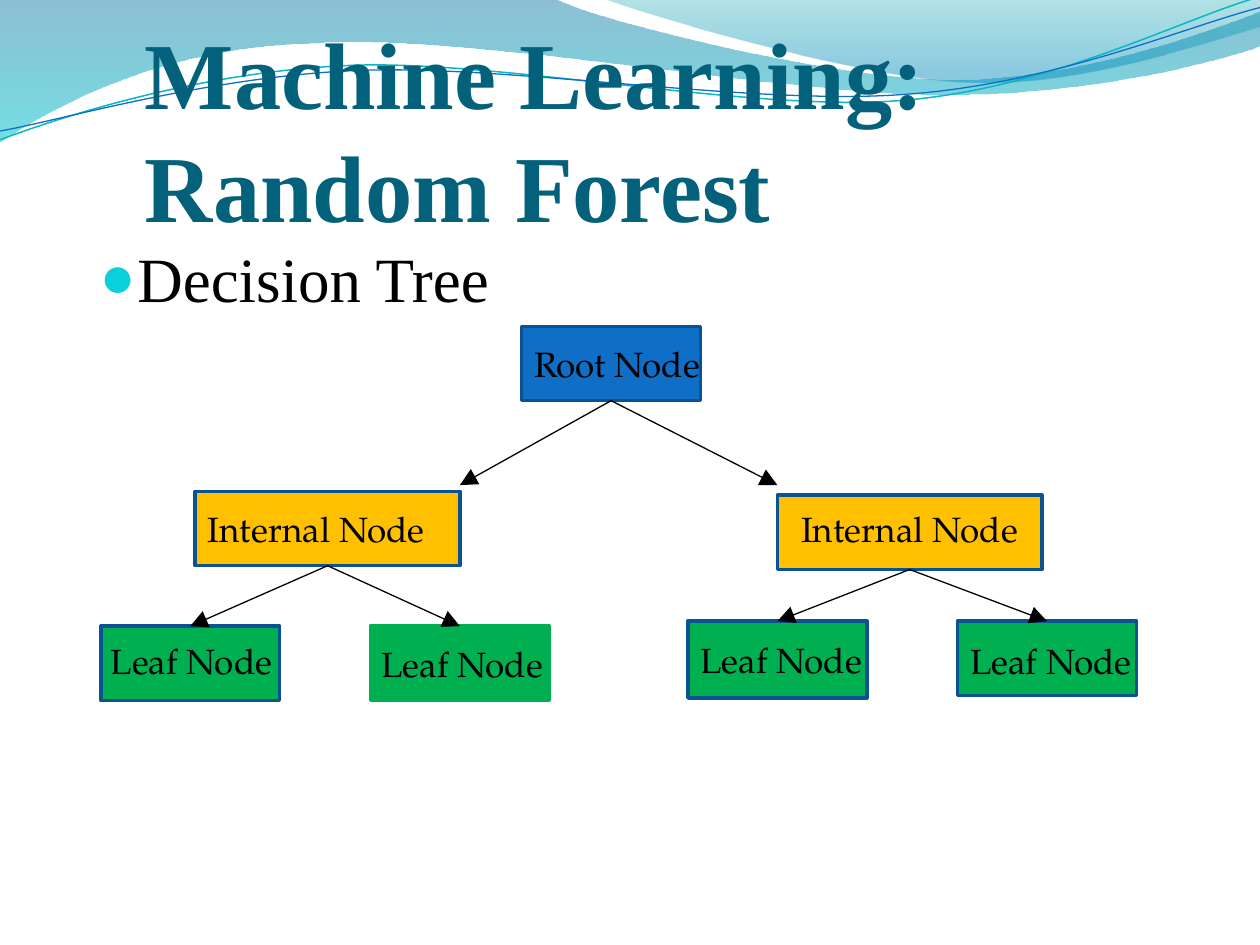
from collections import namedtuple

from lxml import etree
from pptx import Presentation
from pptx.dml.color import RGBColor
from pptx.enum.shapes import MSO_CONNECTOR, MSO_SHAPE
from pptx.enum.text import MSO_ANCHOR, MSO_AUTO_SIZE, PP_ALIGN
from pptx.oxml import parse_xml
from pptx.oxml.ns import nsdecls, qn
from pptx.util import Inches, Pt

RECTANGLE = MSO_SHAPE.RECTANGLE
STRAIGHT = MSO_CONNECTOR.STRAIGHT
LEFT, CENTER = PP_ALIGN.LEFT, PP_ALIGN.CENTER

BLACK = RGBColor(0x00, 0x00, 0x00)
TITLE_TEAL = RGBColor(0x04, 0x61, 0x7B)
BULLET_CYAN = RGBColor(0x0B, 0xD0, 0xD9)
WAVE_CYAN = RGBColor(0x0A, 0xB8, 0xBF)
BLUE = RGBColor(0x0F, 0x6F, 0xC6)
BORDER_BLUE = RGBColor(0x0B, 0x52, 0x92)
AMBER = RGBColor(0xFF, 0xC0, 0x00)
GREEN = RGBColor(0x00, 0xB0, 0x50)

HEADING_FONT = "Times New Roman"
LABEL_FONT = "TeX Gyre Pagella"
NODE_HEIGHT = 0.59
LEAF_WIDTH, INTERNAL_WIDTH = 1.42, 2.1

Node = namedtuple("Node", "left top width height", defaults=(NODE_HEIGHT,))

# Each outline is a start point followed by lines (one point) and curves (three points).
LEFT_WAVE = [
    [(0, 0)], [(4.4, -0.01)],
    [(4.76, 0.17), (6.64, 0.63), (7.58, 0.63)],
    [(8.53, 0.63), (9.58, 0.26), (10, 0.09)],
    [(10.01, 0.36)],
    [(9.83, 0.44), (8.7, 0.76), (7.46, 0.75)],
    [(6.22, 0.75), (3.82, 0.28), (2.57, 0.34)],
    [(1.29, 0.36), (0.46, 0.83), (-0.01, 1.13)],
    [(0, 0)],
]
RIGHT_WAVE = [
    [(4.79, -0.01)],
    [(5.09, 0.11), (6.82, 0.62), (7.69, 0.65)],
    [(8.56, 0.69), (9.61, 0.32), (10, 0.21)],
    [(10, 0)], [(4.79, -0.01)],
]
CYAN_STRAND = [
    [(0, 1.11)],
    [(0.48, 0.93), (1.58, 0.57), (2.77, 0.52)],
    [(3.95, 0.47), (5.93, 0.89), (7.13, 0.8)],
    [(8.33, 0.71), (9.38, 0.15), (9.98, -0.02)],
]
BLUE_STRAND = [
    [(0, 1.04)],
    [(0.47, 0.96), (1.64, 0.61), (2.83, 0.56)],
    [(4.03, 0.51), (5.97, 0.84), (7.17, 0.75)],
    [(8.36, 0.67), (9.41, 0.21), (10, 0.06)],
]


def add_outline(slide, segments, closed):
    """Add a freeform, turning each three-point segment into one Bezier curve."""
    vertices = [(Inches(x), Inches(y)) for segment in segments for x, y in segment]
    builder = slide.shapes.build_freeform(*vertices[0])
    builder.add_line_segments(vertices[1:], close=closed)
    shape = builder.convert_to_shape()
    shape.shadow.inherit = False
    lines = iter(list(shape.element.iter(qn("a:lnTo"))))
    for segment in segments[1:]:
        parts = [next(lines) for _ in segment]
        if len(parts) == 3:
            curve = etree.Element(qn("a:cubicBezTo"))
            parts[0].addprevious(curve)
            for part in parts:
                curve.append(part[0])
                part.getparent().remove(part)
    return shape


def add_wave(slide, segments, stops):
    """Add a filled wave; stops are (position %, colour, opacity %) from top to bottom."""
    shape = add_outline(slide, segments, closed=True)
    shape.line.fill.background()
    stop_xml = "".join(
        f'<a:gs pos="{position * 1000}"><a:srgbClr val="{color}">'
        f'<a:alpha val="{opacity * 1000}"/></a:srgbClr></a:gs>'
        for position, color, opacity in stops
    )
    gradient = parse_xml(
        f'<a:gradFill {nsdecls("a")} rotWithShape="1"><a:gsLst>{stop_xml}</a:gsLst>'
        '<a:lin ang="5400000" scaled="0"/></a:gradFill>'
    )
    shape.element.spPr.find(qn("a:custGeom")).addnext(gradient)


def add_strand(slide, segments, color, width):
    shape = add_outline(slide, segments, closed=False)
    shape.fill.background()
    shape.line.color.rgb = color
    shape.line.width = Pt(width)


def place(shape, left, top, width, height):
    shape.left, shape.top = Inches(left), Inches(top)
    shape.width, shape.height = Inches(width), Inches(height)


def set_font(paragraph, name, size, color, bold=False):
    font = paragraph.font
    font.name, font.size, font.bold = name, Pt(size), bold
    font.color.rgb = color


def bring_to_front(shape):
    shape.element.getparent().append(shape.element)


def fill_title(title, text):
    place(title, 1.15, -0.11, 8.62, 2.03)
    bring_to_front(title)
    frame = title.text_frame
    frame.text = text
    frame.auto_size = MSO_AUTO_SIZE.NONE
    frame.vertical_anchor = MSO_ANCHOR.BOTTOM
    frame.margin_left = frame.margin_right = frame.margin_bottom = 0
    paragraph = frame.paragraphs[0]
    paragraph.alignment = LEFT
    set_font(paragraph, HEADING_FONT, 54, TITLE_TEAL, bold=True)


def fill_body(body, text):
    place(body, 0.69, 1.85, 8.92, 4.76)
    bring_to_front(body)
    frame = body.text_frame
    frame.text = text
    frame.auto_size = MSO_AUTO_SIZE.NONE
    paragraph = frame.paragraphs[0]
    paragraph.space_before = Pt(0)
    properties = paragraph._p.get_or_add_pPr()
    properties.set("marL", str(Inches(0.3)))
    properties.set("indent", str(Inches(-0.3)))
    color = etree.SubElement(properties, qn("a:buClr"))
    etree.SubElement(color, qn("a:srgbClr"), val=str(BULLET_CYAN))
    etree.SubElement(properties, qn("a:buSzPct"), val="95000")
    etree.SubElement(properties, qn("a:buChar"), char="●")
    set_font(paragraph, HEADING_FONT, 36, BLACK)


def add_node(slide, node, fill, border=BORDER_BLUE):
    shape = slide.shapes.add_shape(RECTANGLE, 0, 0, 0, 0)
    place(shape, *node)
    shape.shadow.inherit = False
    shape.fill.solid()
    shape.fill.fore_color.rgb = fill
    shape.line.color.rgb = border
    shape.line.width = Pt(2)


def add_label(slide, text, left, top, width, alignment=LEFT):
    box = slide.shapes.add_textbox(0, 0, 0, 0)
    place(box, left, top, width, 0.44)
    box.text_frame.word_wrap = True
    box.text_frame.text = text
    paragraph = box.text_frame.paragraphs[0]
    paragraph.alignment = alignment
    set_font(paragraph, LABEL_FONT, 20, BLACK)


def add_arrow(slide, start, end):
    arrow = slide.shapes.add_connector(STRAIGHT, *(Inches(value) for value in start + end))
    arrow.line.color.rgb = BLACK
    arrow.line.width = Pt(0.75)
    line = arrow.line._get_or_add_ln()
    etree.SubElement(line, qn("a:tailEnd"), type="triangle", w="lg", len="lg")
    etree.SubElement(arrow.element.spPr, qn("a:effectLst"))


def top_center(node):
    return node.left + node.width / 2, node.top


def bottom_center(node):
    return node.left + node.width / 2, node.top + node.height


def add_tree(slide):
    root = Node(4.14, 2.59, LEAF_WIDTH)
    internals = [Node(1.55, 3.9, INTERNAL_WIDTH), Node(6.17, 3.93, INTERNAL_WIDTH)]
    leaves = [Node(0.8, 4.97, LEAF_WIDTH), Node(2.94, 4.97, LEAF_WIDTH),
              Node(5.46, 4.93, LEAF_WIDTH, 0.61), Node(7.6, 4.93, LEAF_WIDTH)]
    add_node(slide, root, BLUE)
    for internal in internals:
        add_node(slide, internal, AMBER)
    for index, leaf in enumerate(leaves):
        add_node(slide, leaf, GREEN, GREEN if index == 1 else BORDER_BLUE)

    for inner_edge in (internals[0].left + INTERNAL_WIDTH, internals[1].left):
        add_arrow(slide, bottom_center(root), (inner_edge, 3.85))
    for index, leaf in enumerate(leaves):
        add_arrow(slide, bottom_center(internals[index // 2]), top_center(leaf))

    add_label(slide, "Root Node", root.left, 2.67, 2.11)
    add_label(slide, "Internal Node", internals[0].left, 3.98, 2.95)
    add_label(slide, "Internal Node", 5.64, 3.98, 3.16, CENTER)
    for left, top, width in ((0.78, 5.03, 2.58), (2.93, 5.05, 2.23),
                             (5.46, 5.02, 2.13), (7.6, 5.03, 2.32)):
        add_label(slide, "Leaf Node", left, top, width)


def main():
    presentation = Presentation()
    presentation.slide_width, presentation.slide_height = Inches(10), Inches(7.5)
    slide = presentation.slides.add_slide(presentation.slide_layouts[1])
    add_wave(slide, LEFT_WAVE, [(0, "0074A1", 45), (100, "00C6CF", 55)])
    add_wave(slide, RIGHT_WAVE, [(0, "00A1A9", 30), (80, "008BBF", 45)])
    add_strand(slide, CYAN_STRAND, WAVE_CYAN, 0.85)
    add_strand(slide, BLUE_STRAND, BLUE, 0.75)
    fill_title(slide.shapes.title, "Machine Learning: Random Forest")
    fill_body(slide.placeholders[1], "Decision Tree")
    add_tree(slide)
    presentation.save("out.pptx")


if __name__ == "__main__":
    main()
